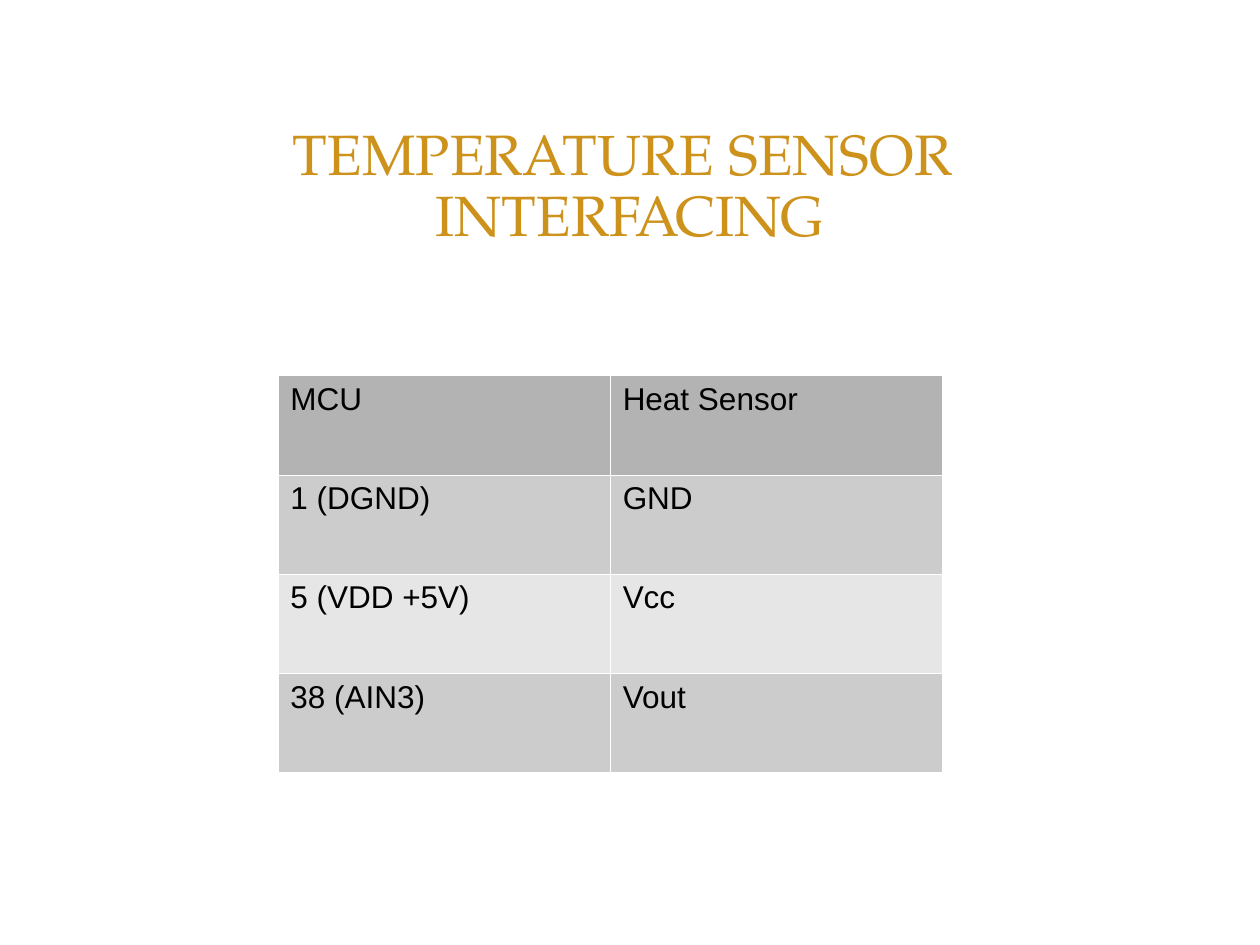
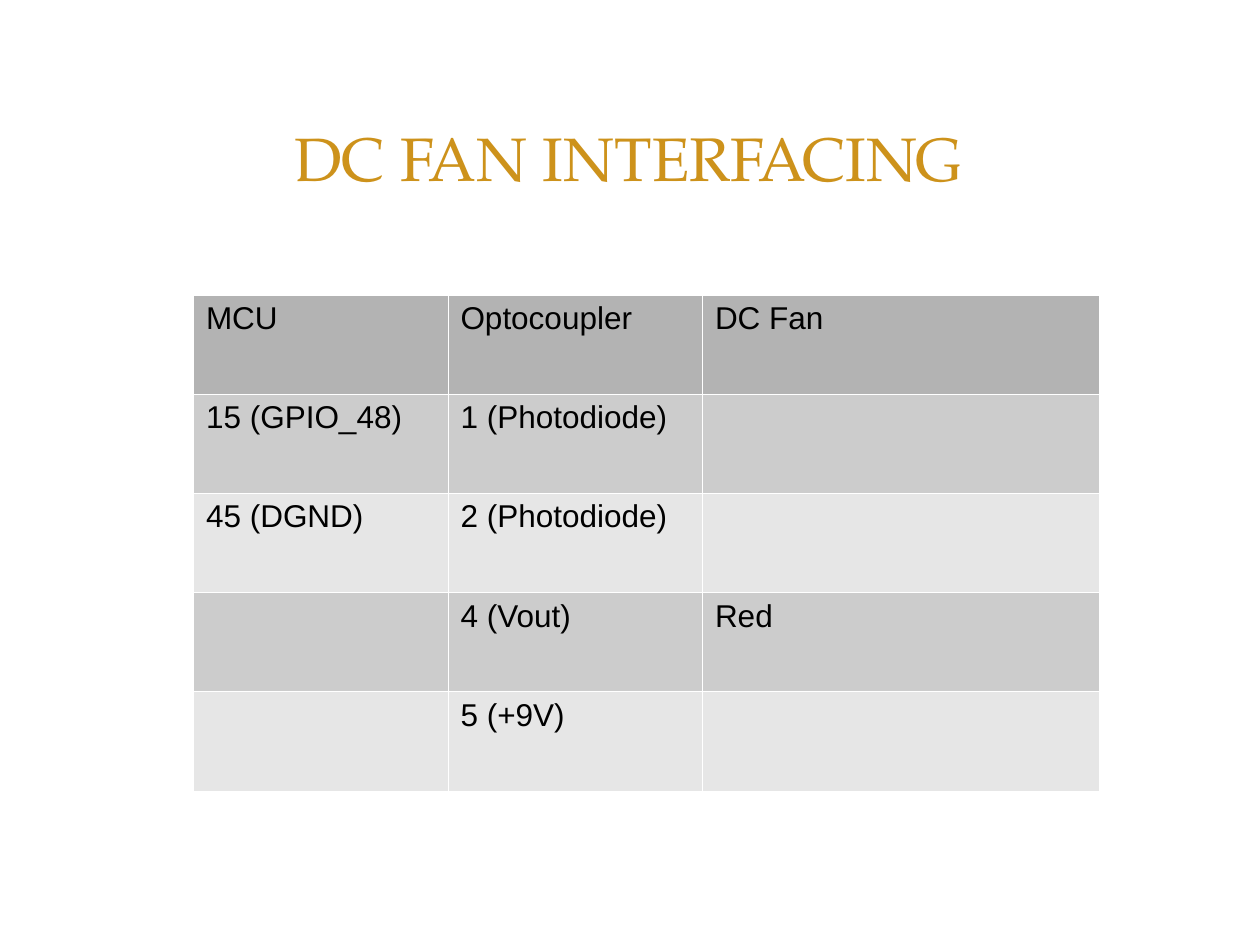
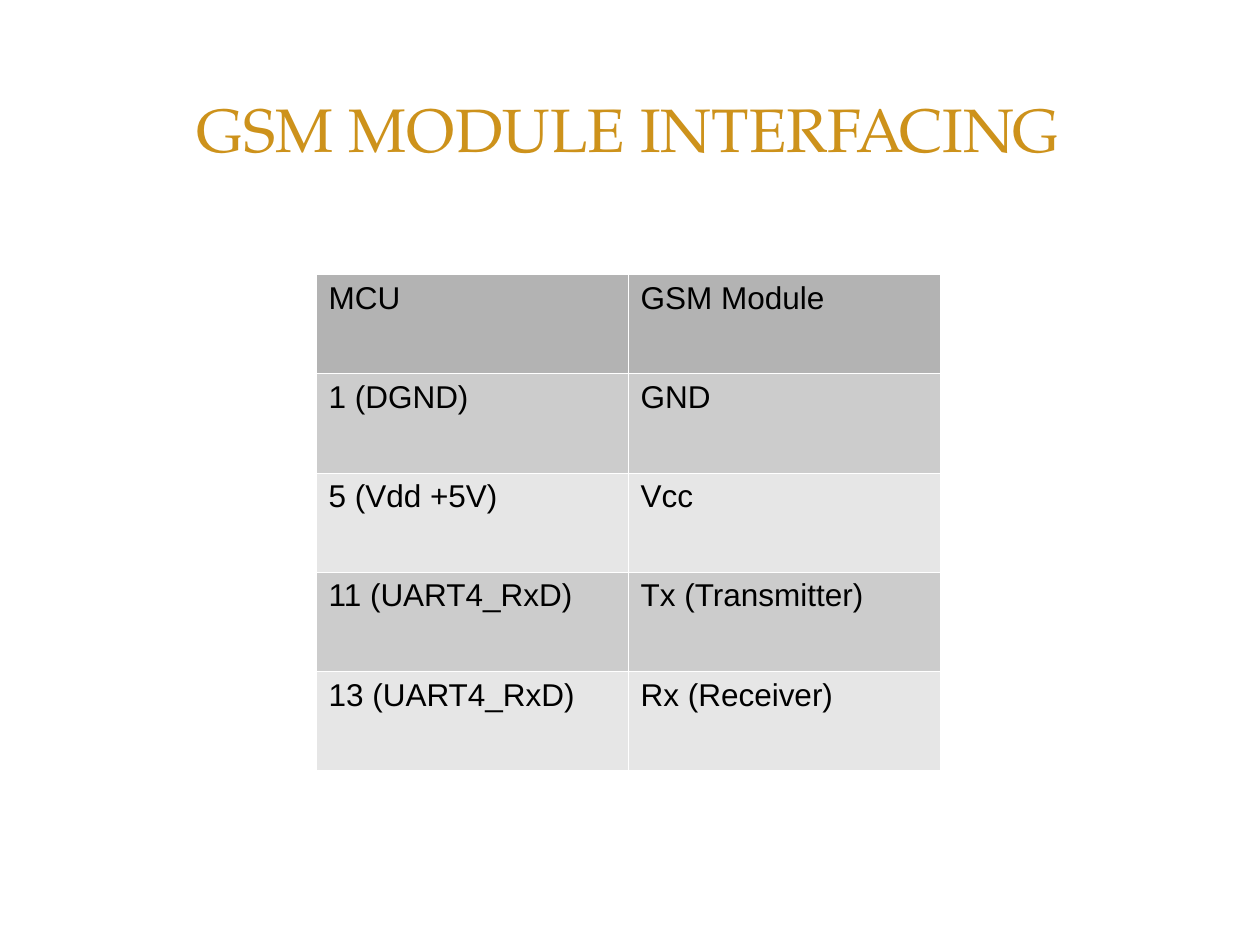
from dataclasses import dataclass

from lxml.etree import SubElement
from pptx import Presentation
from pptx.dml.color import RGBColor
from pptx.enum.shapes import MSO_SHAPE as Preset
from pptx.enum.text import MSO_ANCHOR as Anchor, PP_ALIGN as Align
from pptx.oxml.ns import qn
from pptx.util import Cm, Pt


@dataclass(frozen=True)
class Theme:
    """Colours, fonts and type sizes shared by all slides."""
    white: str = "FFFFFF"
    gold: str = "CD921B"
    black: str = "000000"
    header: str = "B3B3B3"
    bands: tuple = ("CCCCCC", "E6E6E6")
    title_font: str = "TeX Gyre Pagella"
    body_font: str = "Arial"
    title_size: float = 35
    long_title_size: float = 32.4
    body_size: float = 18
    rule: float = 0.06


THEME = Theme()
SLIDE_SIZE = (25.4, 19.05)
PANEL_BOX = (0.25, 0.28, 24.89, 18.52)
TITLE_SIZE = (22.94, 2.9)
ROW_HEIGHT = 2
BOARD = "MCU"

PAGES = [
    dict(
        title=["TEMPERATURE SENSOR ", "INTERFACING"],
        title_at=(1.22, 2.34),
        table_at=(5.6, 7.57),
        widths=(6.7, 6.7),
        rows=[
            (BOARD, "Heat Sensor"),
            ("1 (DGND)", "GND"),
            ("5 (VDD +5V)", "Vcc"),
            ("38 (AIN3)", "Vout"),
        ],
    ),
    dict(
        title=["DC FAN INTERFACING"],
        title_at=(1.2, 1.72),
        table_at=(3.9, 5.94),
        widths=(5.13, 5.13, 8),
        rows=[
            (BOARD, "Optocoupler", "DC Fan"),
            ("15 (GPIO_48)", "1 (Photodiode)", ""),
            ("45 (DGND)", "2 (Photodiode)", ""),
            ("", "4 (Vout)", "Red"),
            ("", "5 (+9V)", ""),
        ],
    ),
    dict(
        title=["GSM MODULE INTERFACING"],
        title_at=(1.2, 1.14),
        table_at=(6.37, 5.53),
        widths=(6.29, 6.29),
        rows=[
            (BOARD, "GSM Module"),
            ("1 (DGND)", "GND"),
            ("5 (Vdd +5V)", "Vcc"),
            ("11 (UART4_RxD)", "Tx (Transmitter)"),
            ("13 (UART4_RxD)", "Rx (Receiver)"),
        ],
    ),
]


def lengths(values):
    """Turn numbers in centimetres into lengths."""
    return [Cm(value) for value in values]


def paint(fill, colour):
    """Give a fill one solid colour."""
    fill.solid()
    fill.fore_color.rgb = RGBColor.from_string(colour)


def style(para, name, size, colour):
    """Set the font of a whole paragraph."""
    para.font.name = name
    para.font.size = Pt(size)
    para.font.color.rgb = RGBColor.from_string(colour)


def add_panel(page, box):
    """Place the rounded panel behind the content."""
    panel = page.shapes.add_shape(Preset.ROUNDED_RECTANGLE, *lengths(box))
    panel.adjustments[0] = 0.017
    panel.shadow.inherit = False
    paint(panel.fill, THEME.white)
    panel.line.fill.background()


def add_title(page, box, lines):
    """Place a centred title, tighter and smaller if it has several lines."""
    frame = page.shapes.add_textbox(*lengths(box)).text_frame
    frame.word_wrap = True
    frame.vertical_anchor = Anchor.MIDDLE
    frame.text = "\n".join(lines)
    several = len(lines) > 1
    size = THEME.long_title_size if several else THEME.title_size
    for para in frame.paragraphs:
        para.alignment = Align.CENTER
        style(para, THEME.title_font, size, THEME.gold)
        if several:
            para.line_spacing = 0.9


def add_borders(cell):
    """Draw a hairline on every side of a cell."""
    properties = cell._tc.get_or_add_tcPr()
    for side in ("a:lnL", "a:lnR", "a:lnT", "a:lnB"):
        line = SubElement(properties, qn(side), w=str(int(Pt(THEME.rule))))
        solid = SubElement(line, qn("a:solidFill"))
        SubElement(solid, qn("a:srgbClr"), val=THEME.white)


def add_pin_table(page, place, widths, rows):
    """Place a pin table with a header row and alternating bands."""
    box = (*place, sum(widths), ROW_HEIGHT * len(rows))
    table = page.shapes.add_table(len(rows), len(widths), *lengths(box)).table
    for column, width in zip(table.columns, widths):
        column.width = Cm(width)
    for row_index, row in enumerate(rows):
        colour = THEME.bands[(row_index - 1) % 2] if row_index else THEME.header
        for column_index, text in enumerate(row):
            cell = table.cell(row_index, column_index)
            add_borders(cell)
            paint(cell.fill, colour)
            cell.text = text
            para = cell.text_frame.paragraphs[0]
            style(para, THEME.body_font, THEME.body_size, THEME.black)
            para.font.bold = False


def add_page(deck, title, title_at, table_at, widths, rows):
    """Add one interfacing slide: panel, title and pin table."""
    page = deck.slides.add_slide(deck.slide_layouts[6])
    paint(page.background.fill, THEME.white)
    add_panel(page, PANEL_BOX)
    add_title(page, (*title_at, *TITLE_SIZE), title)
    add_pin_table(page, table_at, widths, rows)


def build():
    """Build the deck and save it."""
    deck = Presentation()
    deck.slide_width, deck.slide_height = lengths(SLIDE_SIZE)
    for page in PAGES:
        add_page(deck, **page)
    deck.save("out.pptx")


build()
